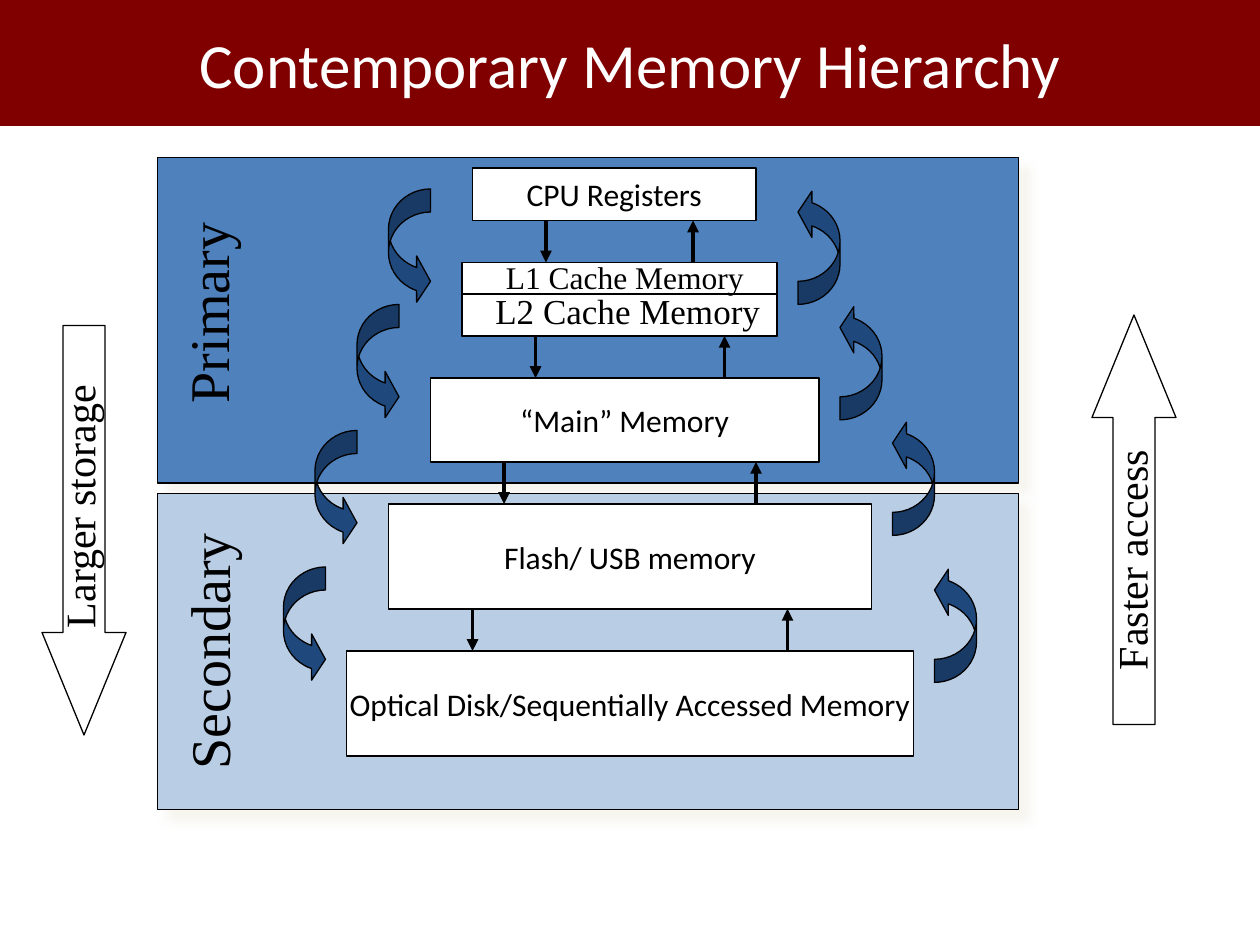
from dataclasses import dataclass

from lxml.etree import SubElement
from pptx import Presentation
from pptx.dml.color import RGBColor
from pptx.enum.shapes import MSO_CONNECTOR as Wire, MSO_SHAPE as Form
from pptx.enum.text import MSO_ANCHOR as Anchor, MSO_AUTO_SIZE as Fit, PP_ALIGN as Align
from pptx.oxml.ns import qn
from pptx.util import Inches, Pt

COLORS = {
    "black": "000000", "white": "FFFFFF", "maroon": "800000", "blue": "4F81BD",
    "pale": "B9CDE5", "navy": "1F497D", "shade": "EEECE1",
}
COLS, ROWS = 120, 90
SANS, SERIF = "Calibri", "Times New Roman"


@dataclass
class Area:
    col: float
    row: float
    width: float
    height: float


@dataclass
class Level:
    text: str
    left: float
    width: float
    height: float
    down: float = 0
    up: float = 0


@dataclass
class Label:
    text: str
    area: Area
    size: int
    turn: int = 270
    align: Align = Align.LEFT


GAP = 4
LEVELS = [
    Level("CPU Registers", 45, 27, 5, 52, 66),
    Level("", 44, 30, 7, 51, 69),
    Level("“Main” Memory", 41, 37, 8, 48, 72),
    Level("Flash/ USB memory", 37, 46, 10, 45, 75),
    Level("Optical Disk/Sequentially Accessed Memory", 33, 54, 10),
]
PANELS = [("blue", Area(15, 15, 82, 31)), ("pale", Area(15, 47, 82, 30.1))]
CURVES = {
    "flipH": [(37, 18), (34, 29), (30, 41), (27, 54)],
    "flipV": [(76, 18), (80, 29), (85, 40), (89, 54)],
}
LABELS = [
    Label("L1 Cache Memory", Area(47, 24, 25.1, 4.8), 18, 0),
    Label("L2 Cache Memory", Area(46, 27, 27.6, 5.2), 20, 0),
    Label("Secondary", Area(7.3, 58.2, 25, 7.6), 32),
    Label("Primary", Area(13.1, 22.8, 19.6, 14), 32, align=Align.CENTER),
    Label("Larger storage", Area(-5.3, 45.2, 25.6, 6), 24),
    Label("Faster access", Area(96, 50.3, 23.4, 6), 24),
]

deck = Presentation()
deck.slide_width, deck.slide_height = Inches(10), Inches(7.5)
slide = deck.slides.add_slide(deck.slide_layouts[5])
shapes = slide.shapes


def across(cols: float) -> int:
    return round(deck.slide_width * cols / COLS)


def along(rows: float) -> int:
    return round(deck.slide_height * rows / ROWS)


def frame(area: Area) -> tuple:
    return across(area.col), along(area.row), across(area.width), along(area.height)


def color(name: str) -> RGBColor:
    return RGBColor.from_string(COLORS[name])


def write(shape, text: str, size: int, face: str, ink: str, align: Align) -> None:
    shape.text_frame.text = text
    para = shape.text_frame.paragraphs[0]
    para.alignment = align
    font = para.font
    font.size, font.name = Pt(size), face
    font.color.rgb = color(ink)


def draw(form: Form, area: Area, fill: str, flip: str = "", adjust: tuple = ()):
    shape = shapes.add_shape(form, *frame(area))
    shape.shadow.inherit = False
    shape.fill.solid()
    shape.fill.fore_color.rgb = color(fill)
    shape.line.color.rgb = color("black")
    shape.line.width = Pt(0.75)
    for spot, value in enumerate(adjust):
        shape.adjustments[spot] = value
    if flip:
        shape.element.spPr.xfrm.set(flip, "1")
    return shape


def shade(shape) -> None:
    effects = shape.element.spPr.find(qn("a:effectLst"))
    outer = SubElement(effects, qn("a:outerShdw"), blurRad=str(Pt(5)),
                       dist=str(Pt(8.5)), dir="2700000", algn="ctr", rotWithShape="0")
    tint = SubElement(outer, qn("a:srgbClr"), val=COLORS["shade"])
    SubElement(tint, qn("a:alpha"), val="50000")


def arrow(col: float, start: float, end: float) -> None:
    line = shapes.add_connector(Wire.STRAIGHT, across(col), along(start),
                                across(col), along(end))
    line.line.color.rgb = color("black")
    line.line.width = Pt(2.25)
    SubElement(line.line._get_or_add_ln(), qn("a:tailEnd"), type="triangle")
    SubElement(line.element.spPr, qn("a:effectLst"))


def stack(levels: list[Level], top: float) -> None:
    for level in levels:
        box = draw(Form.RECTANGLE, Area(level.left, top, level.width, level.height), "white")
        if level.text:
            write(box, level.text, 18, SANS, "black", Align.CENTER)
            box.text_frame.word_wrap = False
            box.text_frame.vertical_anchor = Anchor.MIDDLE
        base = top + level.height
        top = base + GAP
        if level.down:
            arrow(level.down, base, top)
            arrow(level.up, top, base)


def place(label: Label) -> None:
    box = shapes.add_textbox(*frame(label.area))
    box.rotation = label.turn
    write(box, label.text, label.size, SERIF, "black", label.align)
    box.text_frame.word_wrap = False
    box.text_frame.auto_size = Fit.SHAPE_TO_FIT_TEXT


def head(text: str) -> None:
    title = shapes.title
    title.left, title.top, title.width, title.height = frame(Area(0, 0, COLS, 12))
    title.fill.solid()
    title.fill.fore_color.rgb = color("maroon")
    write(title, text, 36, SANS, "white", Align.CENTER)
    title.text_frame.vertical_anchor = Anchor.MIDDLE
    title.text_frame.auto_size = Fit.NONE


def main() -> None:
    head("Contemporary Memory Hierarchy")
    for fill, area in PANELS:
        shade(draw(Form.RECTANGLE, area, fill))
    stack(LEVELS, 16)
    draw(Form.RECTANGLE, Area(44, 28, 30, 4), "white")
    for flip, spots in CURVES.items():
        for col, row in spots:
            draw(Form.CURVED_LEFT_ARROW, Area(col, row, 4, 11), "navy", flip, (0.55, 1.1, 0.33))
    draw(Form.DOWN_ARROW, Area(4, 31, 8, 39), "white", adjust=(0.5, 1.22))
    draw(Form.DOWN_ARROW, Area(104, 30, 8, 39), "white", "flipV", (0.5, 1.22))
    for label in LABELS:
        place(label)
    deck.save("out.pptx")


if __name__ == "__main__":
    main()
